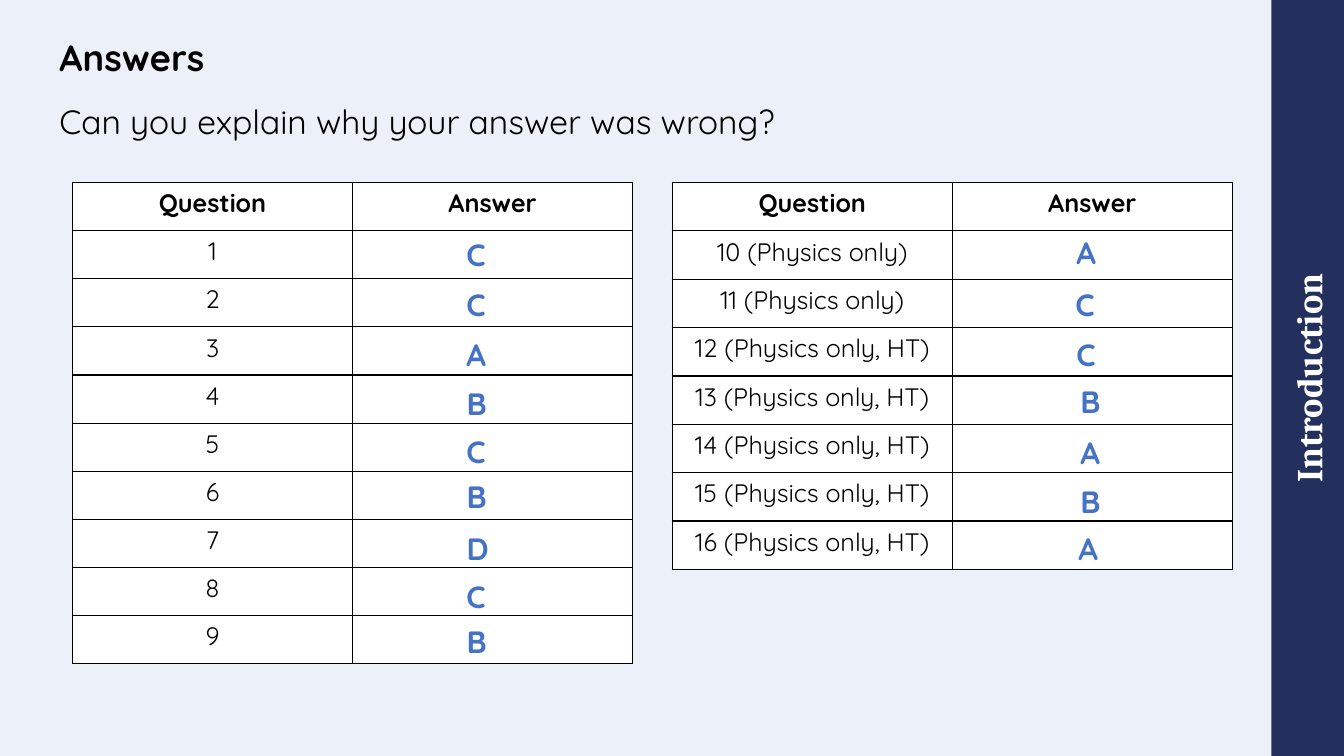
from dataclasses import dataclass

from lxml.etree import SubElement
from pptx import Presentation
from pptx.dml.color import RGBColor
from pptx.enum.shapes import MSO_SHAPE
from pptx.enum.text import MSO_ANCHOR, PP_ALIGN
from pptx.oxml.ns import qn
from pptx.slide import Slide
from pptx.table import _Cell
from pptx.text.text import TextFrame
from pptx.util import Pt

COLORS = {
    "background": "ECF1F9",
    "sidebar": "232F5D",
    "black": "000000",
    "white": "FFFFFF",
    "answer": "4472C4",
}
SLIDE_WIDTH, SLIDE_HEIGHT = 960, 540
SIDEBAR_WIDTH = 51.84
TABLE_TOP = 130.32
COLUMN_WIDTH = 200
ANSWER_HEIGHT = 33.84
LETTER_WIDTHS = {"A": 31, "B": 27.4, "C": 31.7, "D": 30.2}


@dataclass
class Answer:
    letter: str
    left: float
    top: float


@dataclass
class AnswerTable:
    left: float
    row_height: float
    questions: list[str]
    answers: list[Answer]


ANSWER_TABLES = [
    AnswerTable(
        51.84, 34.4,
        [str(number) for number in range(1, 10)],
        [Answer(letter, 326.16, top) for letter, top in zip(
            "CCABCBDCB",
            (164.9, 200.2, 236.2, 271.4, 305.3, 337.7, 375.1, 409, 441.4))],
    ),
    AnswerTable(
        480.24, 34.56,
        [f"{number} (Physics only{'' if number < 12 else ', HT'})"
         for number in range(10, 17)],
        [
            Answer("A", 761.8, 163.4),
            Answer("C", 761, 200.2),
            Answer("C", 761.8, 236.2),
            Answer("B", 764.6, 270),
            Answer("A", 764.6, 306),
            Answer("B", 764.6, 341.3),
            Answer("A", 763.2, 375.1),
        ],
    ),
]


def rgb(name: str) -> RGBColor:
    return RGBColor.from_string(COLORS[name])


def write(frame: TextFrame, text: str, *, size: float, bold: bool = False,
          color: str = "black", font: str = "Quicksand",
          align: PP_ALIGN = PP_ALIGN.LEFT, line_spacing: float = 1.0) -> None:
    paragraph = frame.paragraphs[0]
    paragraph.alignment = align
    paragraph.line_spacing = line_spacing
    run = paragraph.add_run()
    run.text = text
    run.font.size = Pt(size)
    run.font.bold = bold
    run.font.name = font
    run.font.color.rgb = rgb(color)


def remove_insets(frame: TextFrame) -> None:
    frame.margin_left = frame.margin_right = 0
    frame.margin_top = frame.margin_bottom = 0


def add_text_frame(slide: Slide, left: float, top: float, width: float,
                   height: float) -> TextFrame:
    return slide.shapes.add_textbox(
        Pt(left), Pt(top), Pt(width), Pt(height)).text_frame


def add_heading(slide: Slide) -> None:
    title = add_text_frame(slide, 42.48, 0, 835.92, 56.88)
    title.vertical_anchor = MSO_ANCHOR.BOTTOM
    write(title, "Answers", size=26, bold=True, line_spacing=0.9)
    prompt = add_text_frame(slide, 42.48, 72, 771.84, 28.8)
    write(prompt, "Can you explain why your answer was wrong?", size=24)
    for frame in (title, prompt):
        frame.word_wrap = True
        remove_insets(frame)


def add_sidebar(slide: Slide) -> None:
    """Draw the section label as a bar turned to run up the right edge."""
    center = SLIDE_WIDTH - SIDEBAR_WIDTH / 2
    sidebar = slide.shapes.add_shape(
        MSO_SHAPE.RECTANGLE,
        Pt(center - SLIDE_HEIGHT / 2), Pt((SLIDE_HEIGHT - SIDEBAR_WIDTH) / 2),
        Pt(SLIDE_HEIGHT), Pt(SIDEBAR_WIDTH))
    sidebar.rotation = 270
    sidebar.shadow.inherit = False
    sidebar.fill.solid()
    sidebar.fill.fore_color.rgb = rgb("sidebar")
    sidebar.line.fill.background()
    remove_insets(sidebar.text_frame)
    sidebar.text_frame.vertical_anchor = MSO_ANCHOR.MIDDLE
    write(sidebar.text_frame, "Introduction", size=26, bold=True,
          color="white", font="Cambria", align=PP_ALIGN.CENTER)


def style_cell(cell: _Cell) -> None:
    """Give the cell thin black borders and a white fill."""
    properties = cell._tc.get_or_add_tcPr()
    for side in ("a:lnL", "a:lnR", "a:lnT", "a:lnB"):
        border = SubElement(properties, qn(side), w=str(Pt(1)))
        fill = SubElement(border, qn("a:solidFill"))
        SubElement(fill, qn("a:srgbClr"), val=COLORS["black"])
    cell.fill.solid()
    cell.fill.fore_color.rgb = rgb("white")


def add_answer_table(slide: Slide, content: AnswerTable) -> None:
    row_count = len(content.questions) + 1
    table = slide.shapes.add_table(
        row_count, 2, Pt(content.left), Pt(TABLE_TOP),
        Pt(2 * COLUMN_WIDTH), Pt(row_count * content.row_height)).table
    table.first_row = False
    table.horz_banding = False
    for column in table.columns:
        column.width = Pt(COLUMN_WIDTH)
    for row in table.rows:
        row.height = Pt(content.row_height)
    for cell in table.iter_cells():
        style_cell(cell)

    for column_index, heading in enumerate(("Question", "Answer")):
        write(table.cell(0, column_index).text_frame, heading,
              size=18, bold=True, align=PP_ALIGN.CENTER)
    for row_index, question in enumerate(content.questions, start=1):
        write(table.cell(row_index, 0).text_frame, question,
              size=18, align=PP_ALIGN.CENTER)

    for answer in content.answers:
        frame = add_text_frame(slide, answer.left, answer.top,
                               LETTER_WIDTHS[answer.letter], ANSWER_HEIGHT)
        frame.word_wrap = False
        write(frame, answer.letter, size=22, bold=True, color="answer")


def main() -> None:
    presentation = Presentation()
    presentation.slide_width = Pt(SLIDE_WIDTH)
    presentation.slide_height = Pt(SLIDE_HEIGHT)
    slide = presentation.slides.add_slide(presentation.slide_layouts[6])
    slide.background.fill.solid()
    slide.background.fill.fore_color.rgb = rgb("background")
    add_sidebar(slide)
    add_heading(slide)
    for content in ANSWER_TABLES:
        add_answer_table(slide, content)
    presentation.save("out.pptx")


if __name__ == "__main__":
    main()
